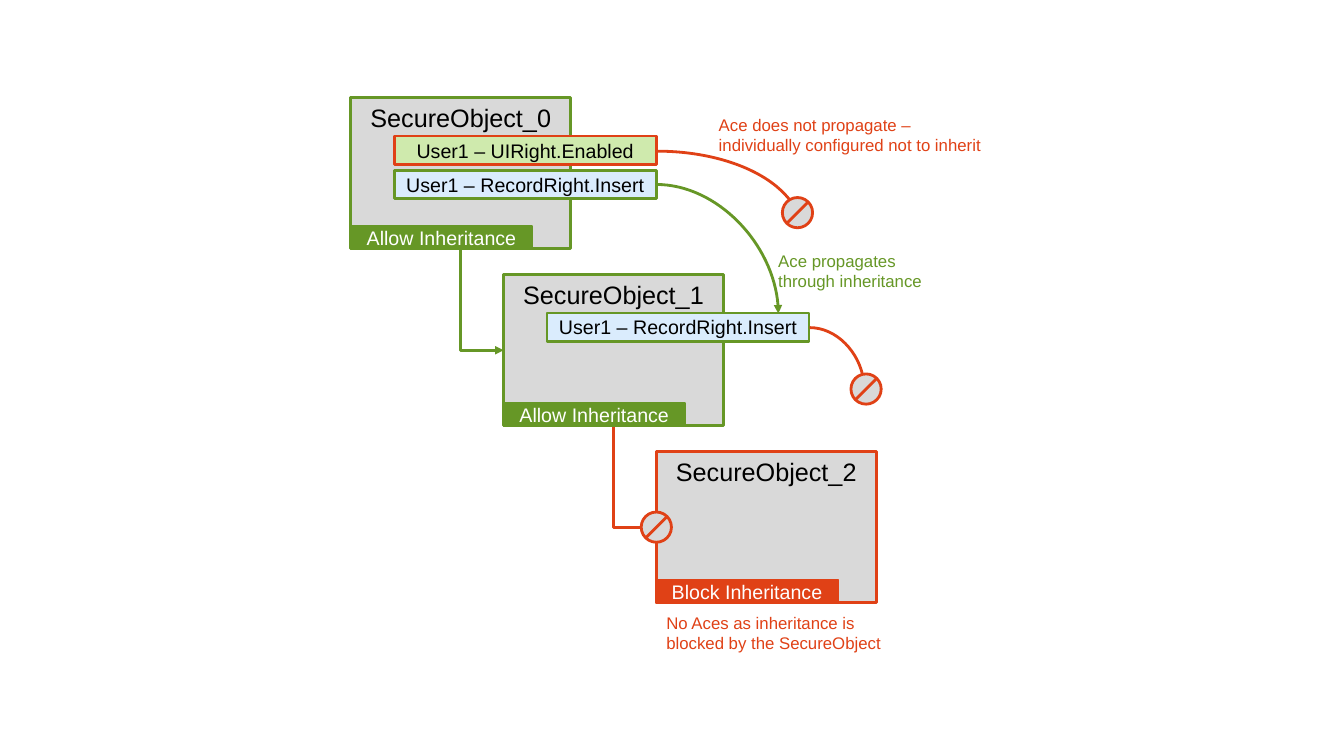
from dataclasses import dataclass

from lxml.etree import SubElement
from pptx import Presentation
from pptx.dml.color import RGBColor
from pptx.enum.shapes import MSO_CONNECTOR as Link, MSO_SHAPE as Preset
from pptx.enum.text import MSO_ANCHOR as Anchor, MSO_AUTO_SIZE as AutoSize, PP_ALIGN as Align
from pptx.oxml.ns import qn
from pptx.util import Inches, Pt

GREEN, RED, GREY = "669726", "E04116", "D9D9D9"
LIME, SKY, BLACK, WHITE = "CFEAAD", "DAECFD", "000000", "FFFFFF"
FONT = "Arial"
LINE_WIDTH = 2
BOX_WIDTH, BOX_HEIGHT = 2.18, 1.5
BAR_WIDTH, BAR_HEIGHT = 1.8, 0.23
ACE_WIDTH, ACE_HEIGHT, ACE_INDENT = 2.6, 0.28, 0.43
SIGN_SIZE, SIGN_INSET = 0.3, 0.05


@dataclass
class SecureObject:
    level: int
    rule: str
    color: str

    @property
    def left(self) -> float:
        return 3.48 + 1.515 * self.level

    @property
    def top(self) -> float:
        return 0.97 + 1.755 * self.level


@dataclass
class Ace:
    owner: SecureObject
    drop: float
    text: str
    fill: str
    color: str

    @property
    def left(self) -> float:
        return self.owner.left + ACE_INDENT

    @property
    def top(self) -> float:
        return self.owner.top + self.drop


@dataclass
class Note:
    left: float
    top: float
    width: float
    lines: tuple[str, ...]
    color: str


def rgb(color: str) -> RGBColor:
    return RGBColor.from_string(color)


def apply(target, values: dict) -> None:
    for name, value in values.items():
        setattr(target, name, value)


def write(frame, lines: tuple[str, ...], size: float, color: str, align, values: dict) -> None:
    apply(frame, values)
    for number, line in enumerate(lines):
        para = frame.add_paragraph() if number else frame.paragraphs[0]
        para.alignment = align
        span = para.add_run()
        span.text = line
        apply(span.font, {"name": FONT, "size": Pt(size)})
        span.font.color.rgb = rgb(color)


def add_box(page, preset, left: float, top: float, width: float, height: float,
            fill: str, color: str, line_width: float = LINE_WIDTH):
    box = page.shapes.add_shape(preset, Inches(left), Inches(top), Inches(width), Inches(height))
    box.shadow.inherit = False
    if fill:
        box.fill.solid()
        box.fill.fore_color.rgb = rgb(fill)
    else:
        box.fill.background()
    box.line.color.rgb = rgb(color)
    box.line.width = Pt(line_width)
    return box


def add_label(box, text: str, size: float, color: str, anchor) -> None:
    write(box.text_frame, (text,), size, color, Align.CENTER,
          {"word_wrap": True, "vertical_anchor": anchor})


def add_arrowhead(shape) -> None:
    SubElement(shape.line._get_or_add_ln(), qn("a:tailEnd"), type="triangle")


def add_line(page, kind, start: tuple[float, float], end: tuple[float, float], color: str):
    line = page.shapes.add_connector(kind, *map(Inches, start + end))
    line.line.color.rgb = rgb(color)
    line.line.width = Pt(LINE_WIDTH)
    SubElement(line._element.spPr, qn("a:effectLst"))
    return line


def add_curve(page, start: tuple[float, float], end: tuple[float, float], color: str) -> None:
    curve = add_line(page, Link.CURVE, start, end, color)
    curve._element.spPr.prstGeom.set("prst", "curvedConnector2")
    add_arrowhead(curve)


def add_elbow(page, parent: SecureObject, child: SecureObject) -> None:
    start_x, start_y = parent.left + BOX_WIDTH / 2, parent.top + BOX_HEIGHT
    across = child.left - start_x
    down = child.top + BOX_HEIGHT / 2 - start_y
    left = start_x + (across - down) / 2
    top = start_y + (down - across) / 2
    elbow = add_line(page, Link.ELBOW, (left + down, top), (left, top + across), child.color)
    elbow._element.spPr.prstGeom.set("prst", "bentConnector2")
    elbow._element.spPr.xfrm.set("rot", "16200000")
    add_arrowhead(elbow)


def add_stop_sign(page, left: float, top: float) -> None:
    add_box(page, Preset.OVAL, left, top, SIGN_SIZE, SIGN_SIZE, GREY, RED)
    near, far = SIGN_INSET, SIGN_SIZE - SIGN_INSET
    add_line(page, Link.STRAIGHT, (left + far, top + near), (left + near, top + far), RED)


def add_note(page, note: Note) -> None:
    box = page.shapes.add_textbox(*map(Inches, (note.left, note.top, note.width, 0.5)))
    write(box.text_frame, note.lines, 12, note.color, Align.LEFT,
          {"word_wrap": False, "auto_size": AutoSize.SHAPE_TO_FIT_TEXT})


def main() -> None:
    deck = Presentation()
    apply(deck, {"slide_width": Inches(13.33), "slide_height": Inches(7.5)})
    page = deck.slides.add_slide(deck.slide_layouts[6])

    objects = [
        SecureObject(0, "Allow Inheritance", GREEN),
        SecureObject(1, "Allow Inheritance", GREEN),
        SecureObject(2, "Block Inheritance", RED),
    ]
    aces = [
        Ace(objects[0], 0.38, "User1 – UIRight.Enabled", LIME, RED),
        Ace(objects[0], 0.72, "User1 – RecordRight.Insert", SKY, GREEN),
        Ace(objects[1], 0.38, "User1 – RecordRight.Insert", SKY, GREEN),
    ]
    notes = [
        Note(7.03, 1.09, 2.82, ("Ace does not propagate –", "individually configured not to inherit"), RED),
        Note(7.62, 2.44, 1.64, ("Ace propagates", "through inheritance"), GREEN),
        Note(6.51, 6.03, 2.35, ("No Aces as inheritance is", "blocked by the SecureObject"), RED),
    ]

    for item in objects:
        box = add_box(page, Preset.RECTANGLE, item.left, item.top, BOX_WIDTH, BOX_HEIGHT, GREY, item.color)
        add_label(box, f"SecureObject_{item.level}", 18, BLACK, Anchor.TOP)
    for parent, child in zip(objects, objects[1:]):
        add_elbow(page, parent, child)
    for item in objects:
        bar = add_box(page, Preset.RECTANGLE, item.left, item.top + BOX_HEIGHT - BAR_HEIGHT,
                      BAR_WIDTH, BAR_HEIGHT, item.color, item.color, 1.25)
        add_label(bar, item.rule, 14, WHITE, Anchor.MIDDLE)
    for ace in aces:
        box = add_box(page, Preset.RECTANGLE, ace.left, ace.top, ACE_WIDTH, ACE_HEIGHT, ace.fill, ace.color)
        add_label(box, ace.text, 14, BLACK, Anchor.MIDDLE)

    add_curve(page, (6.51, 1.83), (7.72, 3.11), GREEN)
    add_curve(page, (8.03, 3.25), (8.57, 3.84), RED)
    arc = add_box(page, Preset.ARC, 5.1, 1.5, 2.84, 1.57, "", RED)
    arc.adjustments[0], arc.adjustments[1] = 162, 215.58
    add_arrowhead(arc)

    for left, top in ((6.36, 5.08), (8.44, 3.71), (7.76, 1.96)):
        add_stop_sign(page, left, top)
    for note in notes:
        add_note(page, note)
    deck.save("out.pptx")


if __name__ == "__main__":
    main()
